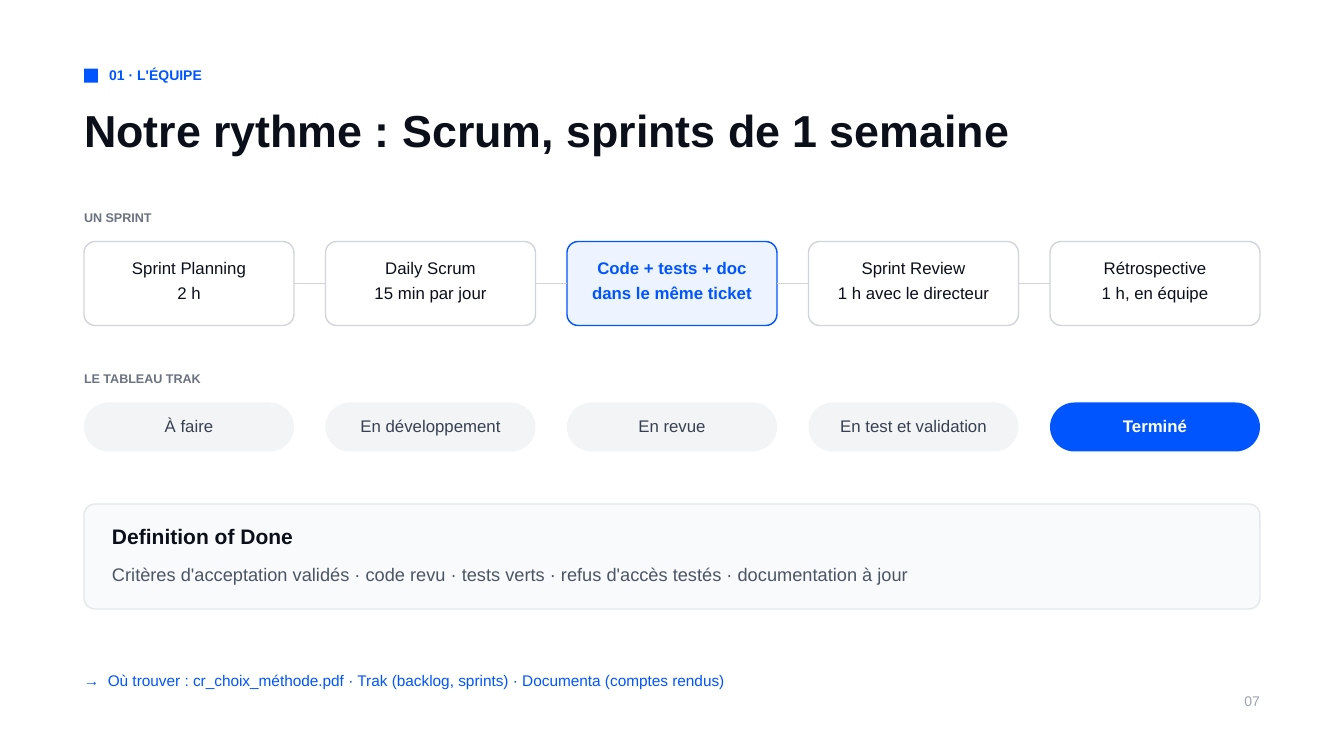
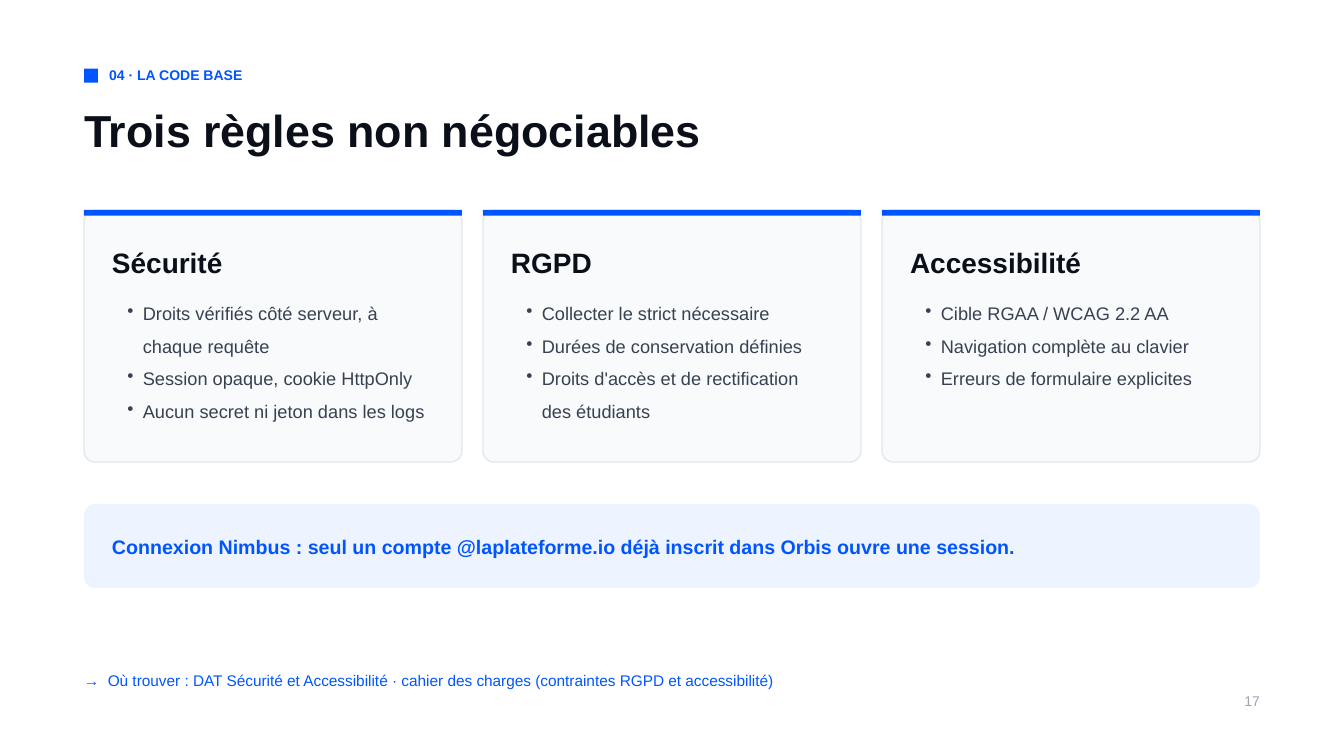
"""Build two onboarding slides: the sprint rhythm and the three firm rules."""
from dataclasses import dataclass
from itertools import pairwise

from lxml.etree import SubElement
from pptx import Presentation
from pptx.dml.color import RGBColor
from pptx.enum.shapes import MSO_CONNECTOR, MSO_SHAPE
from pptx.enum.text import MSO_ANCHOR, MSO_AUTO_SIZE, PP_ALIGN
from pptx.oxml.ns import qn
from pptx.util import Emu, Pt

RHYTHM = {
    "section": "01 · L'ÉQUIPE",
    "title": "Notre rythme : Scrum, sprints de 1 semaine",
    "source": "→\tOù trouver : cr_choix_méthode.pdf · Trak (backlog, sprints) · Documenta (comptes rendus)",
    "number": "07",
}
SPRINT_LABEL = "UN SPRINT"
SPRINT_STEPS = [
    ("Sprint Planning", "2 h"),
    ("Daily Scrum", "15 min par jour"),
    ("Code + tests + doc", "dans le même ticket"),
    ("Sprint Review", "1 h avec le directeur"),
    ("Rétrospective", "1 h, en équipe"),
]
KEY_STEP = 2
BOARD_LABEL = "LE TABLEAU TRAK"
BOARD_COLUMNS = ["À faire", "En développement", "En revue", "En test et validation", "Terminé"]
DONE_TITLE = "Definition of Done"
DONE_CRITERIA = (
    "Critères d'acceptation validés · code revu · tests verts"
    " · refus d'accès testés · documentation à jour"
)

RULES = {
    "section": "04 · LA CODE BASE",
    "title": "Trois règles non négociables",
    "source": "→\tOù trouver : DAT Sécurité et Accessibilité · cahier des charges"
              " (contraintes RGPD et accessibilité)",
    "number": "17",
}
RULE_CARDS = [
    ("Sécurité", ["Droits vérifiés côté serveur, à chaque requête",
                  "Session opaque, cookie HttpOnly",
                  "Aucun secret ni jeton dans les logs"]),
    ("RGPD", ["Collecter le strict nécessaire",
              "Durées de conservation définies",
              "Droits d'accès et de rectification des étudiants"]),
    ("Accessibilité", ["Cible RGAA / WCAG 2.2 AA",
                       "Navigation complète au clavier",
                       "Erreurs de formulaire explicites"]),
]
LOGIN_RULE = "Connexion Nimbus : seul un compte @laplateforme.io déjà inscrit dans Orbis ouvre une session."


@dataclass(frozen=True)
class Theme:
    font: str = "Arial"
    accent: str = "0055FF"
    accent_tint: str = "EEF4FF"
    white: str = "FFFFFF"
    ink: str = "0B0F19"
    body: str = "374151"
    soft: str = "4B5563"
    label: str = "6B7280"
    faint: str = "9CA3AF"
    rule: str = "D1D5DB"
    edge: str = "E5E7EB"
    panel: str = "F8FAFC"
    pill: str = "F3F4F6"
    title_size: float = 48
    card_size: float = 30
    panel_size: float = 22.5
    callout_size: float = 21
    body_size: float = 19.5
    step_size: float = 18
    source_size: float = 16.5
    small_size: float = 15
    label_size: float = 13.5
    line_width: float = 1.5


THEME = Theme()
LEFT, WIDTH = 120, 1680
RADIUS = 16
PADDING = 40
CORNER_INSET = 0.29


def px(value):
    return Emu(round(value * 9525))


def color(value):
    return RGBColor.from_string(value)


def add_text(frame, text, *, size, fill, leading=1.4, bold=False,
             align=PP_ALIGN.LEFT, before=0, bullet=None, tab=None):
    paragraph = frame.add_paragraph() if frame.text else frame.paragraphs[0]
    paragraph.alignment = align
    paragraph.line_spacing = Pt(round(size * leading, 1))
    paragraph.space_before = px(before)
    properties = paragraph._p.get_or_add_pPr()
    if bullet:
        properties.set("marL", str(px(44)))
        properties.set("indent", str(px(-22)))
        SubElement(properties, qn("a:buChar"), char=bullet)
    if tab:
        stops = SubElement(properties, qn("a:tabLst"))
        SubElement(stops, qn("a:tab"), pos=str(px(tab)), algn="l")
    run = paragraph.add_run()
    run.text = text
    run.font.name = THEME.font
    run.font.size = Pt(size)
    run.font.bold = bold
    run.font.color.rgb = color(fill)


def prepare_frame(frame, side=0, top=0):
    frame.word_wrap = True
    frame.auto_size = MSO_AUTO_SIZE.NONE
    frame.vertical_anchor = MSO_ANCHOR.TOP
    frame.margin_left = frame.margin_right = px(max(side, 0))
    frame.margin_top = px(max(top, 0))
    frame.margin_bottom = 0
    return frame


def add_label(slide, box, text, **style):
    shape = slide.shapes.add_textbox(*map(px, box))
    add_text(prepare_frame(shape.text_frame), text, **style)


def add_block(slide, box, fill, *, line=None, radius=0, side=0, top=0):
    kind = MSO_SHAPE.ROUNDED_RECTANGLE if radius else MSO_SHAPE.RECTANGLE
    shape = slide.shapes.add_shape(kind, *map(px, box))
    shape.shadow.inherit = False
    shape.fill.solid()
    shape.fill.fore_color.rgb = color(fill)
    if line:
        shape.line.color.rgb = color(line)
        shape.line.width = Pt(THEME.line_width)
    else:
        shape.line.fill.background()
    if radius:
        shape.adjustments[0] = radius / min(box[2:])
    corner = radius * CORNER_INSET
    prepare_frame(shape.text_frame, side - corner, top - corner)
    return shape


def spread(count, gap):
    width = (WIDTH - gap * (count - 1)) / count
    return [(LEFT + index * (width + gap), width) for index in range(count)]


def link(slide, first, second):
    connector = slide.shapes.add_connector(MSO_CONNECTOR.STRAIGHT, 0, 0, 0, 0)
    connector.begin_connect(first, 3)
    connector.end_connect(second, 1)
    connector.line.color.rgb = color(THEME.rule)
    connector.line.width = Pt(THEME.line_width)
    SubElement(connector._element.spPr, qn("a:effectLst"))


def add_page(presentation, page):
    slide = presentation.slides.add_slide(presentation.slide_layouts[5])
    slide.background.fill.solid()
    slide.background.fill.fore_color.rgb = color(THEME.white)
    title = slide.shapes.title
    title.left, title.top, title.width, title.height = map(px, (LEFT, 153, WIDTH, 73))
    add_text(prepare_frame(title.text_frame), page["title"],
             size=THEME.title_size, fill=THEME.ink, leading=1.1, bold=True)
    add_block(slide, (LEFT, 98, 20, 20), THEME.accent)
    add_label(slide, (156, 91, 700, 29), page["section"],
              size=THEME.small_size, fill=THEME.accent, bold=True)
    add_label(slide, (LEFT, 954, 1580, 32), page["source"],
              size=THEME.source_size, fill=THEME.accent, tab=34)
    add_label(slide, (1740, 985, 60, 29), page["number"],
              size=THEME.small_size, fill=THEME.faint, align=PP_ALIGN.RIGHT)
    return slide


def build_rhythm(presentation):
    slide = add_page(presentation, RHYTHM)
    for top, label in ((296, SPRINT_LABEL), (526, BOARD_LABEL)):
        add_label(slide, (LEFT, top, 600, 25), label,
                  size=THEME.label_size, fill=THEME.label, bold=True)

    steps = []
    columns = spread(len(SPRINT_STEPS), 45)
    for index, ((left, width), lines) in enumerate(zip(columns, SPRINT_STEPS)):
        key = index == KEY_STEP
        step = add_block(slide, (left, 345, width, 120),
                         THEME.accent_tint if key else THEME.white,
                         line=THEME.accent if key else THEME.rule,
                         radius=RADIUS, side=10, top=16)
        for line in lines:
            add_text(step.text_frame, line, size=THEME.step_size, leading=1.5, bold=key,
                     fill=THEME.accent if key else THEME.ink, align=PP_ALIGN.CENTER)
        steps.append(step)
    for first, second in pairwise(steps):
        link(slide, first, second)

    for (left, width), name in zip(columns, BOARD_COLUMNS):
        final = name == BOARD_COLUMNS[-1]
        pill = add_block(slide, (left, 575, width, 70),
                         THEME.accent if final else THEME.pill, radius=35, side=10, top=14)
        add_text(pill.text_frame, name, size=THEME.step_size, bold=final,
                 fill=THEME.white if final else THEME.body, align=PP_ALIGN.CENTER)

    done = add_block(slide, (LEFT, 720, WIDTH, 150), THEME.panel, line=THEME.edge,
                     radius=RADIUS, side=PADDING, top=22)
    add_text(done.text_frame, DONE_TITLE, size=THEME.panel_size, fill=THEME.ink, bold=True)
    add_text(done.text_frame, DONE_CRITERIA, size=THEME.body_size, fill=THEME.soft, before=16)


def build_rules(presentation):
    slide = add_page(presentation, RULES)
    for (left, width), (heading, points) in zip(spread(len(RULE_CARDS), 30), RULE_CARDS):
        card = add_block(slide, (left, 300, width, 360), THEME.panel, line=THEME.edge,
                         radius=RADIUS, side=PADDING, top=42)
        add_text(card.text_frame, heading, size=THEME.card_size, fill=THEME.ink, bold=True)
        for index, point in enumerate(points):
            add_text(card.text_frame, point, size=THEME.body_size, fill=THEME.body,
                     leading=1.8, before=0 if index else 18, bullet="•")
        add_block(slide, (left, 300, width, 8), THEME.accent)

    callout = add_block(slide, (LEFT, 720, WIDTH, 120), THEME.accent_tint,
                        radius=RADIUS, side=PADDING, top=38)
    add_text(callout.text_frame, LOGIN_RULE, size=THEME.callout_size,
             fill=THEME.accent, bold=True)


def main():
    presentation = Presentation()
    presentation.slide_width, presentation.slide_height = px(1920), px(1080)
    build_rhythm(presentation)
    build_rules(presentation)
    presentation.save("out.pptx")


if __name__ == "__main__":
    main()
